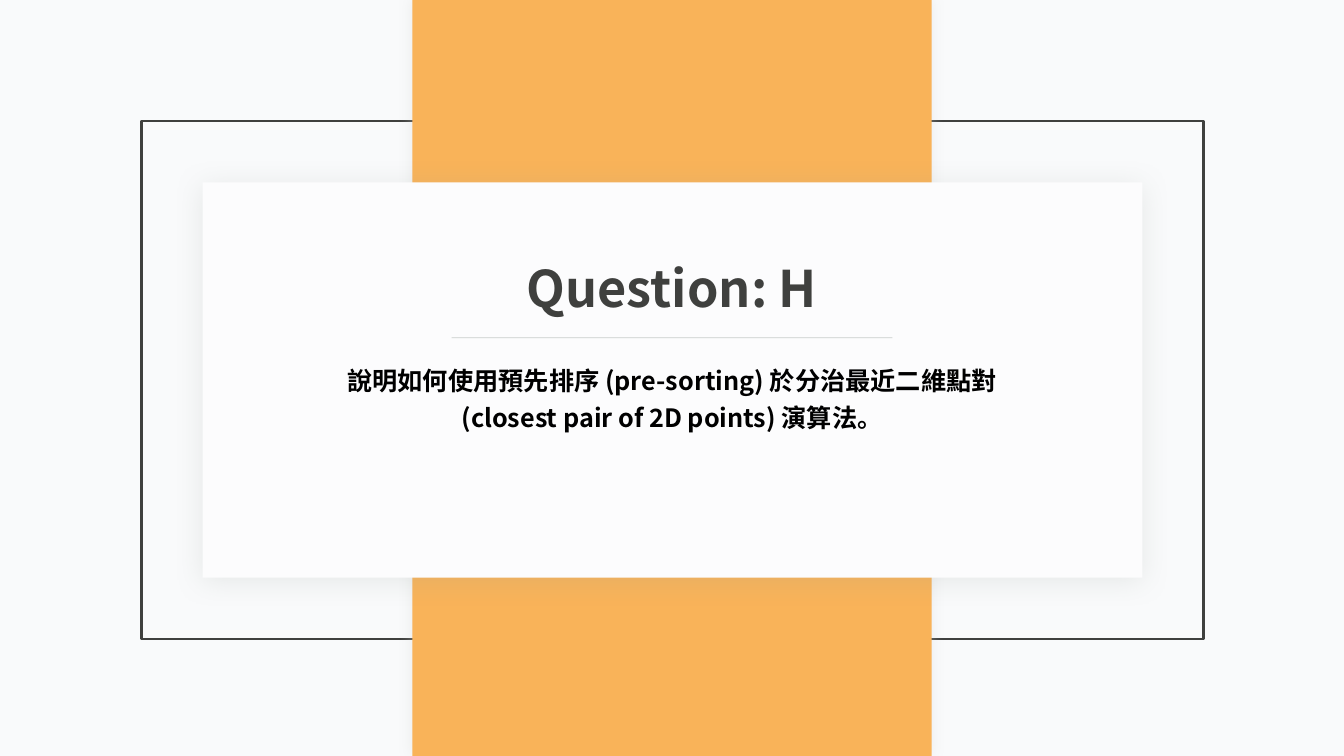
from lxml import etree
from pptx import Presentation
from pptx import util as u
from pptx.dml.color import RGBColor
from pptx.enum import shapes, text
from pptx.oxml.ns import qn

COLORS = {
    "background": "F9FAFB",
    "dark": "3F403E",
    "band": "F9B359",
    "card": "FCFCFD",
    "band_shadow": "D5D7D5",
    "gray": "969F98",
    "black": "000000",
}


def rgb(name):
    return RGBColor.from_string(COLORS[name])


def box(left, top, width, height):
    return [u.Inches(v) for v in (left, top, width, height)]


class QuestionSlide:
    font = "Noto Sans CJK SC"

    def __init__(self, prs):
        self.s = prs.slides.add_slide(prs.slide_layouts[5])
        fill = self.s.background.fill
        fill.solid()
        fill.fore_color.rgb = rgb("background")

    def rect(self, area, fill=None, line=None, width=2):
        sp = self.s.shapes.add_shape(shapes.MSO_SHAPE.RECTANGLE, *box(*area))
        sp.shadow.inherit = False
        if fill:
            sp.fill.solid()
            sp.fill.fore_color.rgb = rgb(fill)
        else:
            sp.fill.background()
        if line:
            sp.line.color.rgb = rgb(line)
            sp.line.width = u.Pt(width)
        else:
            sp.line.fill.background()
        return sp

    def shadow(self, sp, color, alpha, blur, dist=0, angle=0):
        """Add an outer shadow: alpha in percent, blur and dist in points."""
        effects = sp._element.spPr.find(qn("a:effectLst"))
        outer = etree.SubElement(
            effects, qn("a:outerShdw"), blurRad=str(u.Pt(blur)),
            dist=str(u.Pt(dist)), dir=str(angle * 60000),
            algn="ctr", rotWithShape="0")
        clr = etree.SubElement(outer, qn("a:srgbClr"), val=COLORS[color])
        etree.SubElement(clr, qn("a:alpha"), val=str(alpha * 1000))

    def rule(self, x1, x2, y, color, width, alpha):
        ln = self.s.shapes.add_connector(
            shapes.MSO_CONNECTOR.STRAIGHT, *box(x1, y, x2, y))
        ln.line.color.rgb = rgb(color)
        ln.line.width = u.Pt(width)
        spPr = ln._element.spPr
        clr = next(spPr.iter(qn("a:srgbClr")))
        etree.SubElement(clr, qn("a:alpha"), val=str(alpha * 1000))
        etree.SubElement(spPr, qn("a:effectLst"))

    def set_text(self, sp, lines, size, color, spacing=1.0, wrap=True):
        tf = sp.text_frame
        tf.text = "\n".join(lines)
        tf.word_wrap = wrap
        tf.auto_size = text.MSO_AUTO_SIZE.SHAPE_TO_FIT_TEXT
        tf.vertical_anchor = text.MSO_ANCHOR.TOP
        for p in tf.paragraphs:
            p.alignment = text.PP_ALIGN.CENTER
            p.line_spacing = spacing
            p.space_before = u.Pt(0)
            for r in p.runs:
                r.font.size = u.Pt(size)
                r.font.bold = True
                r.font.name = self.font
                r.font.color.rgb = rgb(color)
                etree.SubElement(r.font._element, qn("a:ea"), typeface=self.font)

    def title(self, area, words, size, color):
        sp = self.s.shapes.title
        sp.left, sp.top, sp.width, sp.height = box(*area)
        self.set_text(sp, [words], size, color, wrap=False)
        # Bring the title in front of the card
        self.s.shapes._spTree.append(sp._element)

    def body(self, area, lines, size, color, spacing):
        sp = self.s.shapes.add_textbox(*box(*area))
        self.set_text(sp, lines, size, color, spacing)


def main():
    prs = Presentation()
    prs.slide_width, prs.slide_height = u.Inches(13.33), u.Inches(7.5)
    q = QuestionSlide(prs)

    q.rect((1.4, 1.2, 10.54, 5.14), line="dark")
    band = q.rect((4.09, 0, 5.15, 7.5), fill="band")
    q.shadow(band, "band_shadow", alpha=40, blur=10)
    card = q.rect((2.01, 1.81, 9.32, 3.92), fill="card")
    q.shadow(card, "gray", alpha=20, blur=20, dist=3, angle=90)

    q.body((2.74, 3.52, 7.85, 0.8),
           ["說明如何使用預先排序 (pre-sorting) 於分治最近二維點對",
            "(closest pair of 2D points) 演算法。"],
           18, "black", spacing=1.2)
    q.title((5.06, 2.5, 3.21, 0.71), "Question: H", 36, "dark")
    q.rule(4.48, 8.85, 3.35, "gray", width=0.5, alpha=50)

    prs.save("out.pptx")


if __name__ == "__main__":
    main()
